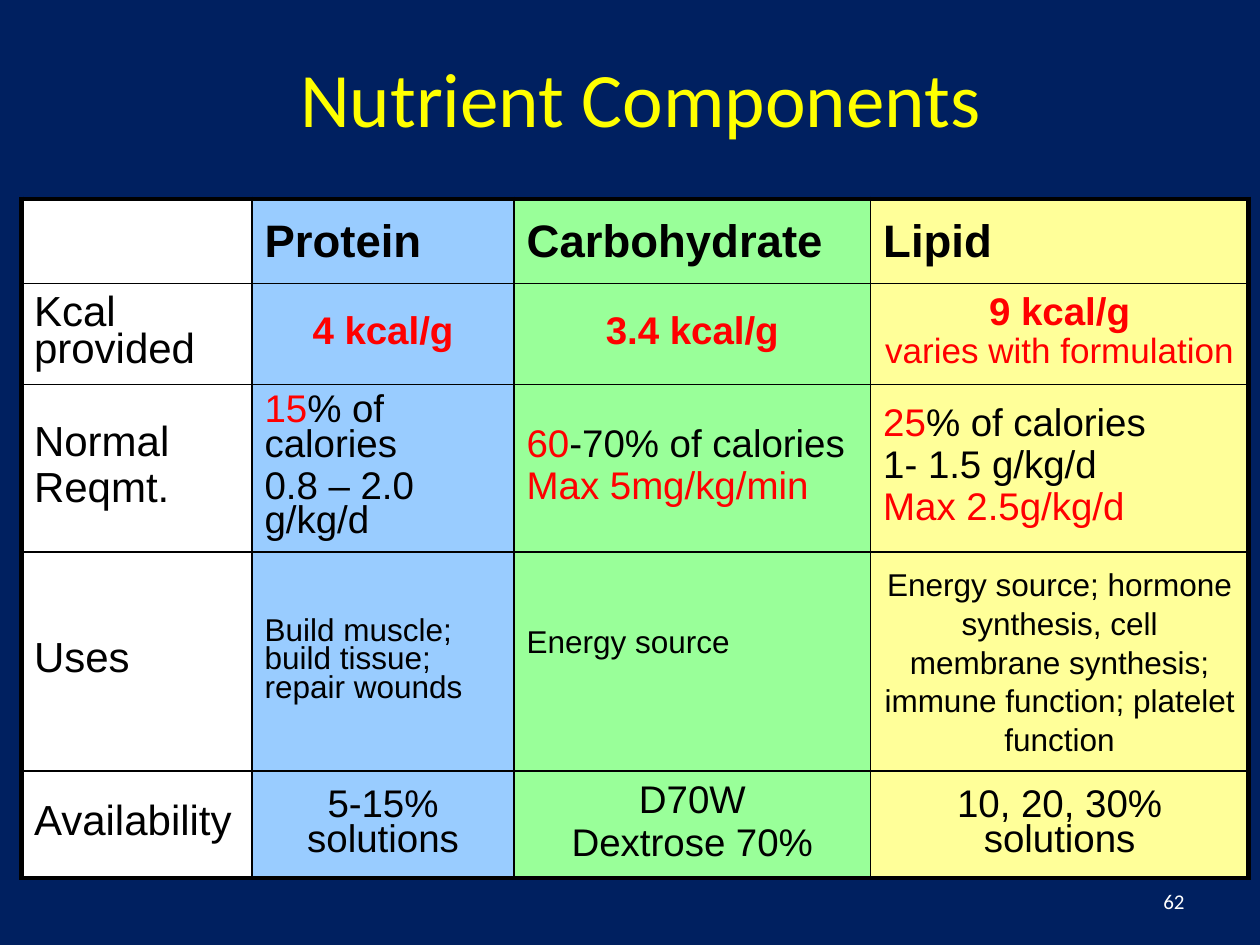
from dataclasses import dataclass

from lxml.etree import SubElement
from pptx import Presentation
from pptx.dml.color import RGBColor
from pptx.enum.text import MSO_ANCHOR, PP_ALIGN
from pptx.oxml.ns import qn
from pptx.util import Inches, Pt


@dataclass(frozen=True)
class Theme:
    background: str = "002060"
    title: str = "FFFF00"
    text: str = "000000"
    accent: str = "FF0000"
    page: str = "FFFFFF"
    border: str = "000000"
    columns: tuple = ("FFFFFF", "99CCFF", "99FF99", "FFFF99")
    title_font: str = "Calibri"
    table_font: str = "Arial"
    title_size: int = 44
    header_size: int = 26
    label_size: int = 24
    value_size: int = 22
    note_size: int = 20
    use_size: int = 18
    page_size: int = 12
    inner_border: int = 1
    outer_border: int = 3
    tight: float = 0.8
    loose: float = 1.1
    paragraph_gap: float = 0.2


THEME = Theme()
LEFT, CENTER = PP_ALIGN.LEFT, PP_ALIGN.CENTER


def run(text, size=THEME.value_size, color=THEME.text, bold=False):
    return text, size, color, bold


def red(text, size=THEME.value_size, bold=False):
    return run(text, size, THEME.accent, bold)


def entry(*paragraphs, align=LEFT, spacing=THEME.tight, lift=0):
    """One table cell; each paragraph is a list of runs, lift is extra bottom margin."""
    return paragraphs, align, spacing, lift


def header(text):
    return entry([run(text, THEME.header_size, bold=True)], spacing=1.0)


def label(*lines):
    return entry(*[[run(line, THEME.label_size)] for line in lines])


TITLE = "Nutrient Components"
PAGE_NUMBER = "62"
NUTRIENTS = [
    [entry(), header("Protein"), header("Carbohydrate"), header("Lipid")],
    [
        label("Kcal provided"),
        entry([red("4 kcal/g", bold=True)], align=CENTER),
        entry([red("3.4 kcal/g", bold=True)], align=CENTER),
        entry([red("9 kcal/g", bold=True)],
              [red("varies with formulation", THEME.note_size)], align=CENTER),
    ],
    [
        label("Normal", "Reqmt."),
        entry([red("15"), run("% of calories")], [run("0.8 – 2.0 g/kg/d")]),
        entry([red("60"), run("-70% of calories")], [red("Max 5mg/kg/min")]),
        entry([red("25"), run("% of calories")], [run("1- 1.5 g/kg/d")],
              [red("Max 2.5g/kg/d")]),
    ],
    [
        label("Uses"),
        entry([run("Build muscle; build tissue; repair wounds", THEME.use_size)]),
        entry([run("Energy source", THEME.use_size)], spacing=1.0, lift=0.3),
        entry([run("Energy source; hormone synthesis, cell membrane synthesis; "
                   "immune function; platelet function", THEME.use_size)],
              align=CENTER, spacing=THEME.loose),
    ],
    [
        label("Availability"),
        entry([run("5-15% solutions")], align=CENTER),
        entry([run("D70W")], [run("Dextrose 70%")], align=CENTER),
        entry([run("10, 20, 30% solutions")], align=CENTER),
    ],
]
COLUMN_WIDTHS = [1.83, 2.08, 2.83, 3]
ROW_HEIGHTS = [0.67, 0.8, 1.33, 1.74, 0.85]


def style(font, name, size, color, bold=False):
    font.name, font.size, font.bold = name, Pt(size), bold
    font.color.rgb = RGBColor.from_string(color)


def set_borders(cell, row, column):
    """Thick lines on the outside of the table, thin ones between cells."""
    outside = {
        "a:lnL": column == 0,
        "a:lnR": column == len(COLUMN_WIDTHS) - 1,
        "a:lnT": row == 0,
        "a:lnB": row == len(ROW_HEIGHTS) - 1,
    }
    properties = cell._tc.get_or_add_tcPr()
    for side, is_outer in outside.items():
        width = THEME.outer_border if is_outer else THEME.inner_border
        line = SubElement(properties, qn(side), w=str(Pt(width)))
        fill = SubElement(line, qn("a:solidFill"))
        SubElement(fill, qn("a:srgbClr"), val=THEME.border)


def fill_cell(cell, content):
    paragraphs, align, spacing, lift = content
    cell.vertical_anchor = MSO_ANCHOR.MIDDLE
    cell.margin_bottom = Inches(0.05 + lift)
    for index, runs in enumerate(paragraphs):
        frame = cell.text_frame
        paragraph = frame.add_paragraph() if index else frame.paragraphs[0]
        paragraph.alignment = align
        paragraph.line_spacing = spacing
        if index:
            paragraph.space_before = Pt(round(THEME.paragraph_gap * runs[0][1], 1))
        for text, size, color, bold in runs:
            part = paragraph.add_run()
            part.text = text
            style(part.font, THEME.table_font, size, color, bold)


def add_title(slide):
    title = slide.shapes.title
    title.left, title.top = Inches(0.92), Inches(0.25)
    title.width, title.height = Inches(8.33), Inches(1.03)
    title.text_frame.text = TITLE
    title.text_frame.vertical_anchor = MSO_ANCHOR.MIDDLE
    paragraph = title.text_frame.paragraphs[0]
    paragraph.alignment = CENTER
    style(paragraph.runs[0].font, THEME.title_font, THEME.title_size, THEME.title)


def add_nutrient_table(slide):
    table = slide.shapes.add_table(
        len(ROW_HEIGHTS), len(COLUMN_WIDTHS), Inches(0.17), Inches(1.58),
        Inches(sum(COLUMN_WIDTHS)), Inches(sum(ROW_HEIGHTS))).table
    table.horz_banding = False
    for column, width in zip(table.columns, COLUMN_WIDTHS):
        column.width = Inches(width)
    for row, height in zip(table.rows, ROW_HEIGHTS):
        row.height = Inches(height)
    for r, contents in enumerate(NUTRIENTS):
        for c, content in enumerate(contents):
            cell = table.cell(r, c)
            set_borders(cell, r, c)
            cell.fill.solid()
            cell.fill.fore_color.rgb = RGBColor.from_string(THEME.columns[c])
            fill_cell(cell, content)


def add_page_number(slide):
    page = slide.shapes.add_textbox(
        Inches(7.17), Inches(6.95), Inches(2.33), Inches(0.4)).text_frame
    page.word_wrap = True
    page.vertical_anchor = MSO_ANCHOR.MIDDLE
    page.text = PAGE_NUMBER
    paragraph = page.paragraphs[0]
    paragraph.alignment = PP_ALIGN.RIGHT
    style(paragraph.runs[0].font, THEME.title_font, THEME.page_size, THEME.page)


def main():
    deck = Presentation()
    deck.slide_width, deck.slide_height = Inches(10), Inches(7.5)
    slide = deck.slides.add_slide(deck.slide_layouts.get_by_name("Title Only"))
    slide.background.fill.solid()
    slide.background.fill.fore_color.rgb = RGBColor.from_string(THEME.background)
    add_title(slide)
    add_nutrient_table(slide)
    add_page_number(slide)
    deck.save("out.pptx")


if __name__ == "__main__":
    main()
